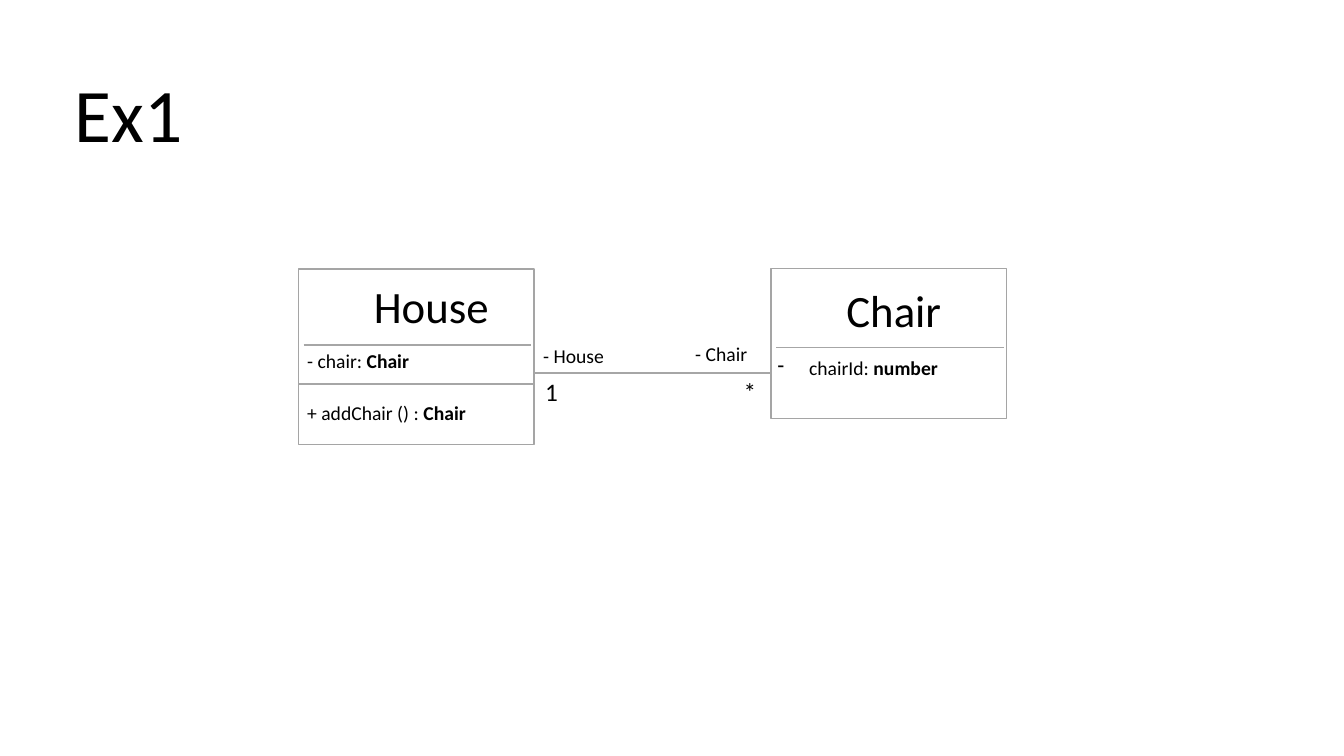
from lxml.etree import SubElement
from pptx import Presentation
from pptx.dml.color import RGBColor
from pptx.enum.shapes import MSO_CONNECTOR as Connector, MSO_SHAPE as Shape
from pptx.enum.text import MSO_AUTO_SIZE as AutoSize
from pptx.oxml.ns import qn
from pptx.util import Cm, Pt


class ClassDiagram:
    FONT = "Calibri"
    COLORS = {"text": "000000", "box": "FFFFFF", "border": "A5A5A5", "rule": "A6A6A6"}
    BOX_WIDTH = 5.94
    RULE_INSET = 0.13
    RULE_WIDTH = 5.74
    NAME_INSET = 1.65
    HEIGHTS = {14: 0.86, 18: 1.02, 32: 1.63, 54: 2.57}  # text box height by size

    def __init__(self, slide):
        self.slide = slide

    def color(self, key):
        return RGBColor.from_string(self.COLORS[key])

    def text(self, left, top, width, size, plain, bold="", wrap=False, bullet=""):
        box = self.slide.shapes.add_textbox(
            Cm(left), Cm(top), Cm(width), Cm(self.HEIGHTS[size]))
        frame = box.text_frame
        frame.word_wrap = wrap
        frame.auto_size = AutoSize.SHAPE_TO_FIT_TEXT
        paragraph = frame.paragraphs[0]
        if bullet:
            properties = paragraph._p.get_or_add_pPr()
            properties.set("marL", str(Cm(0.79)))
            properties.set("indent", str(-Cm(0.79)))
            SubElement(properties, qn("a:buFontTx"))
            SubElement(properties, qn("a:buChar")).set("char", bullet)
        for words, is_bold in ((plain, False), (bold, True)):
            if words:
                run = paragraph.add_run()
                run.text = words
                run.font.name = self.FONT
                run.font.size = Pt(size)
                run.font.bold = is_bold
                run.font.color.rgb = self.color("text")

    def rule(self, left, right, y):
        line = self.slide.shapes.add_connector(
            Connector.STRAIGHT, Cm(left), Cm(y), Cm(right), Cm(y))
        line.line.color.rgb = self.color("rule")
        line.line.width = Pt(1)
        SubElement(line._element.spPr, qn("a:effectLst"))

    def class_box(self, left, top, height, name, name_top, name_width, rule_y):
        box = self.slide.shapes.add_shape(
            Shape.RECTANGLE, Cm(left), Cm(top), Cm(self.BOX_WIDTH), Cm(height))
        box.shadow.inherit = False
        box.fill.solid()
        box.fill.fore_color.rgb = self.color("box")
        box.line.color.rgb = self.color("border")
        box.line.width = Pt(1)
        self.text(left + self.NAME_INSET, name_top, name_width, 32, name)
        rule_left = left + self.RULE_INSET
        self.rule(rule_left, rule_left + self.RULE_WIDTH, rule_y)


def main():
    deck = Presentation()
    deck.slide_width, deck.slide_height = Cm(33.87), Cm(19.05)
    diagram = ClassDiagram(deck.slides.add_slide(deck.slide_layouts[6]))

    house_left, chair_left = 7.52, 19.43
    house_right = house_left + diagram.BOX_WIDTH

    # House class
    diagram.class_box(house_left, 6.78, 4.42, "House", 6.91, 3.43, 8.69)
    diagram.text(7.49, 8.66, 3.1, 14, "- chair: ", "Chair")
    diagram.rule(house_left, house_right, 9.68)
    diagram.text(7.49, 9.98, 4.55, 14, "+ addChair () : ", "Chair")

    # Chair class
    diagram.class_box(chair_left, 6.76, 3.78, "Chair", 6.99, 2.92, 8.76)
    diagram.text(19.35, 8.84, 4.57, 14, "chairId: ", "number", bullet="-")

    # Association with its roles and multiplicities
    diagram.rule(house_right, chair_left, 9.4)
    diagram.text(13.44, 8.53, 2.06, 14, "- House")
    diagram.text(17.27, 8.48, 1.83, 14, "- Chair")
    diagram.text(13.49, 9.37, 0.84, 18, "1")
    diagram.text(18.49, 9.37, 0.84, 18, "*")

    # Title
    diagram.text(1.63, 1.55, 5.49, 54, "Ex1", wrap=True)

    deck.save("out.pptx")


if __name__ == "__main__":
    main()
